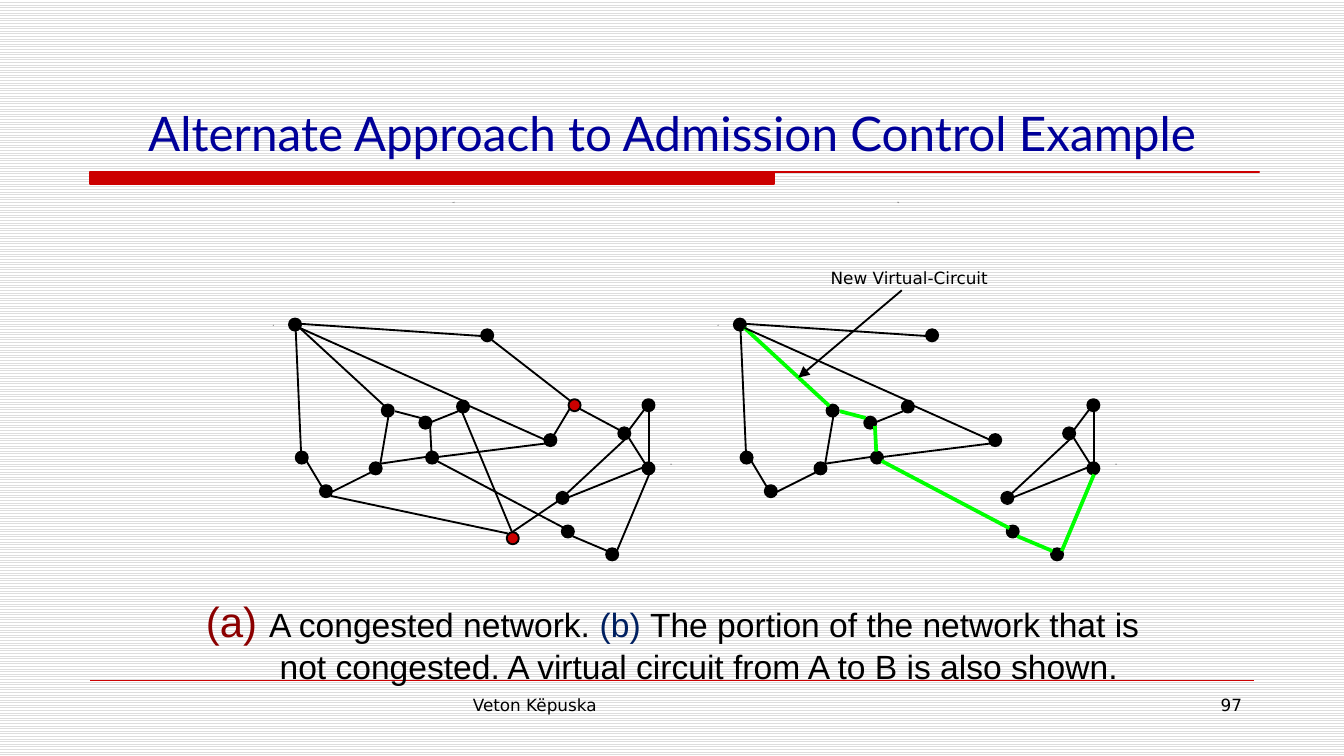
from lxml import etree
from pptx import Presentation
from pptx.dml.color import RGBColor
from pptx.enum.dml import MSO_PATTERN
from pptx.enum.shapes import MSO_CONNECTOR as Connector, MSO_SHAPE as Shape
from pptx.enum.text import MSO_ANCHOR as Anchor, PP_ALIGN as Align
from pptx.oxml.ns import qn
from pptx.util import Inches, Pt

BLACK, RED, GREEN = "000000", "CC0000", "00FF00"
UI_FONT = "DejaVu Sans"
NODE_SIZE = 0.09

# Content: node positions (left, top) in the first network
NODES = {
    "A": (2.15, 2.37), "west": (2.2, 3.36), "southwest": (2.38, 3.61),
    "low": (2.75, 3.44), "hub": (2.84, 3.01), "inner": (3.12, 3.1),
    "centre": (3.17, 3.36), "upper": (3.4, 2.98), "busy south": (3.77, 3.96),
    "gate": (4.14, 3.66), "south": (4.18, 3.91), "southeast": (4.51, 4.08),
    "B": (4.78, 3.44), "east": (4.6, 3.18), "northeast": (4.78, 2.97),
    "busy north": (4.23, 2.97), "middle": (4.05, 3.23), "north": (3.58, 2.45),
}
CONGESTED = {"busy south", "busy north"}

# Links: the two nodes, then where the line starts and ends
LINKS = [
    ("A", "west", 2.2, 2.45, 2.24, 3.36),
    ("west", "southwest", 2.28, 3.43, 2.4, 3.63),
    ("low", "southwest", 2.77, 3.51, 2.47, 3.66),
    ("hub", "low", 2.89, 3.1, 2.83, 3.45),
    ("centre", "low", 3.17, 3.4, 2.83, 3.45),
    ("hub", "inner", 2.94, 3.06, 3.13, 3.11),
    ("inner", "centre", 3.2, 3.17, 3.21, 3.36),
    ("A", "hub", 2.23, 2.44, 2.86, 3.02),
    ("A", "north", 2.24, 2.41, 3.58, 2.5),
    ("north", "busy north", 3.66, 2.53, 4.24, 2.98),
    ("A", "upper", 2.23, 2.44, 3.44, 2.98),
    ("inner", "upper", 3.21, 3.14, 3.41, 3.06),
    ("upper", "middle", 3.49, 3.02, 4.05, 3.27),
    ("centre", "middle", 3.26, 3.4, 4.06, 3.3),
    ("southwest", "busy south", 2.46, 3.69, 3.78, 3.97),
    ("upper", "busy south", 3.44, 3.07, 3.81, 3.96),
    ("busy north", "middle", 4.24, 3.04, 4.12, 3.24),
    ("busy north", "east", 4.31, 3.04, 4.61, 3.2),
    ("northeast", "east", 4.8, 3.04, 4.68, 3.2),
    ("northeast", "B", 4.83, 3.06, 4.83, 3.44),
    ("east", "B", 4.68, 3.26, 4.8, 3.45),
    ("B", "southeast", 4.83, 3.53, 4.59, 4.1),
    ("south", "southeast", 4.26, 3.99, 4.52, 4.1),
    ("south", "centre", 4.2, 3.93, 3.25, 3.43),
    ("busy south", "gate", 3.81, 3.96, 4.15, 3.73),
    ("gate", "B", 4.23, 3.7, 4.78, 3.48),
    ("gate", "east", 4.22, 3.67, 4.65, 3.27),
]
CIRCUIT = ["A", "hub", "inner", "centre", "south", "southeast", "B"]
CIRCUIT_LINKS = {frozenset(hop) for hop in zip(CIRCUIT, CIRCUIT[1:])}
NETWORK_B_SHIFT = 3.31

END_LABELS = [("A", 1.92, 2.37), ("B", 4.88, 3.4)]
CAPTION = [
    ("(a) ", 22.5, "8B0000"),
    ("A congested network. ", 18, BLACK),
    ("(b) ", 18, "002060"),
    ("The portion of the network that is not congested. "
     "A virtual circuit from A to B is also shown.", 18, BLACK),
]


def colour(hex_string):
    return RGBColor.from_string(hex_string)


def paint(shape, fill, line, width):
    shape.shadow.inherit = False
    shape.fill.solid()
    shape.fill.fore_color.rgb = colour(fill)
    shape.line.color.rgb = colour(line)
    shape.line.width = Pt(width)


def add_line(parent, x1, y1, x2, y2, line=BLACK, width=1, arrow=False):
    connector = parent.add_connector(
        Connector.STRAIGHT, *(Inches(v) for v in (x1, y1, x2, y2)))
    connector.line.color.rgb = colour(line)
    connector.line.width = Pt(width)
    properties = connector._element.spPr
    if arrow:
        etree.SubElement(properties.find(qn("a:ln")), qn("a:tailEnd"), type="triangle")
    etree.SubElement(properties, qn("a:effectLst"))


def add_text(parent, place, runs, font=UI_FONT, align=Align.CENTER,
             anchor=Anchor.TOP, wrap=True):
    box = parent.add_textbox(*(Inches(v) for v in place))
    frame = box.text_frame
    frame.word_wrap, frame.vertical_anchor = wrap, anchor
    paragraph = frame.paragraphs[0]
    paragraph.alignment = align
    for text, size, hue in runs:
        run = paragraph.add_run()
        run.text = text
        for name, value in {"name": font, "size": Pt(size)}.items():
            setattr(run.font, name, value)
        run.font.color.rgb = colour(hue)
    return paragraph


def add_network(parent, shift, left_out, circuit_links):
    for node, (x, y) in NODES.items():
        if node in left_out:
            continue
        dot = parent.add_shape(Shape.OVAL, Inches(x + shift), Inches(y),
                               Inches(NODE_SIZE), Inches(NODE_SIZE))
        paint(dot, RED if node in CONGESTED else BLACK, BLACK, 1)
    for start, end, x1, y1, x2, y2 in LINKS:
        if {start, end} & left_out:
            continue
        on_circuit = frozenset((start, end)) in circuit_links
        add_line(parent, x1 + shift, y1, x2 + shift, y2,
                 *((GREEN, 2) if on_circuit else (BLACK, 1)))
    for label, x, y in END_LABELS:
        add_text(parent, (x + shift, y, 0.23, 0.12), [(label, 1, BLACK)])


# Widescreen slide, 16 to 9
prs = Presentation()
prs.slide_width = Inches(10)
prs.slide_height = prs.slide_width * 9 // 16
slide = prs.slides.add_slide(prs.slide_layouts[6])
shapes = slide.shapes

# Striped background
stripes = slide.background.fill
stripes.patterned()
stripes.pattern = MSO_PATTERN.LIGHT_HORIZONTAL
stripes.fore_color.rgb = colour("DDDDDD")
stripes.back_color.rgb = colour("FFFFFF")

# Title rule: thick bar whose top edge runs on to the right
left, bar_right, rule_right, top, bottom = map(Inches, (0.67, 5.76, 9.37, 1.28, 1.37))
rule = shapes.build_freeform(left, top)
rule.add_line_segments([(rule_right, top), (bar_right, top),
                        (bar_right, bottom), (left, bottom)])
paint(rule.convert_to_shape(), RED, RED, 0.75)

# Footer
add_line(shapes, 0.67, 5.06, 9.33, 5.06, RED, 0.25)
add_text(shapes, (3.42, 5.12, 3.17, 0.39), [("Veton Këpuska", 9, BLACK)], align=Align.LEFT)
add_text(shapes, (7.17, 5.12, 2.17, 0.39), [("97", 9, BLACK)], align=Align.RIGHT)

# Title
add_text(shapes, (0.63, 0.25, 8.75, 1),
         [("Alternate Approach to Admission Control Example", 25.5, "000099")],
         font="Lato", anchor=Anchor.BOTTOM)

# The two networks
add_network(shapes.add_group_shape().shapes, 0, set(), set())
add_network(shapes, NETWORK_B_SHIFT, CONGESTED, CIRCUIT_LINKS)
for letter, shift in (("a)", 0), ("b)", NETWORK_B_SHIFT)):
    add_text(shapes, (2.03 + shift, 1.45, 2.69, 0.12), [(letter, 1, BLACK)])

# Callout for the new circuit
add_text(shapes, (6.08, 1.94, 1.37, 0.4), [("New Virtual-Circuit", 9, BLACK)], wrap=False)
add_line(shapes, 6.71, 2.16, 5.94, 2.81, arrow=True)

# Caption with a hanging indent
caption = add_text(shapes, (1.37, 4.38, 7.27, 0.69), CAPTION, font="Arial")
hanging = caption._p.get_or_add_pPr()
hanging.set("marL", str(Inches(0.39)))
hanging.set("indent", str(Inches(-0.39)))

prs.save("out.pptx")
